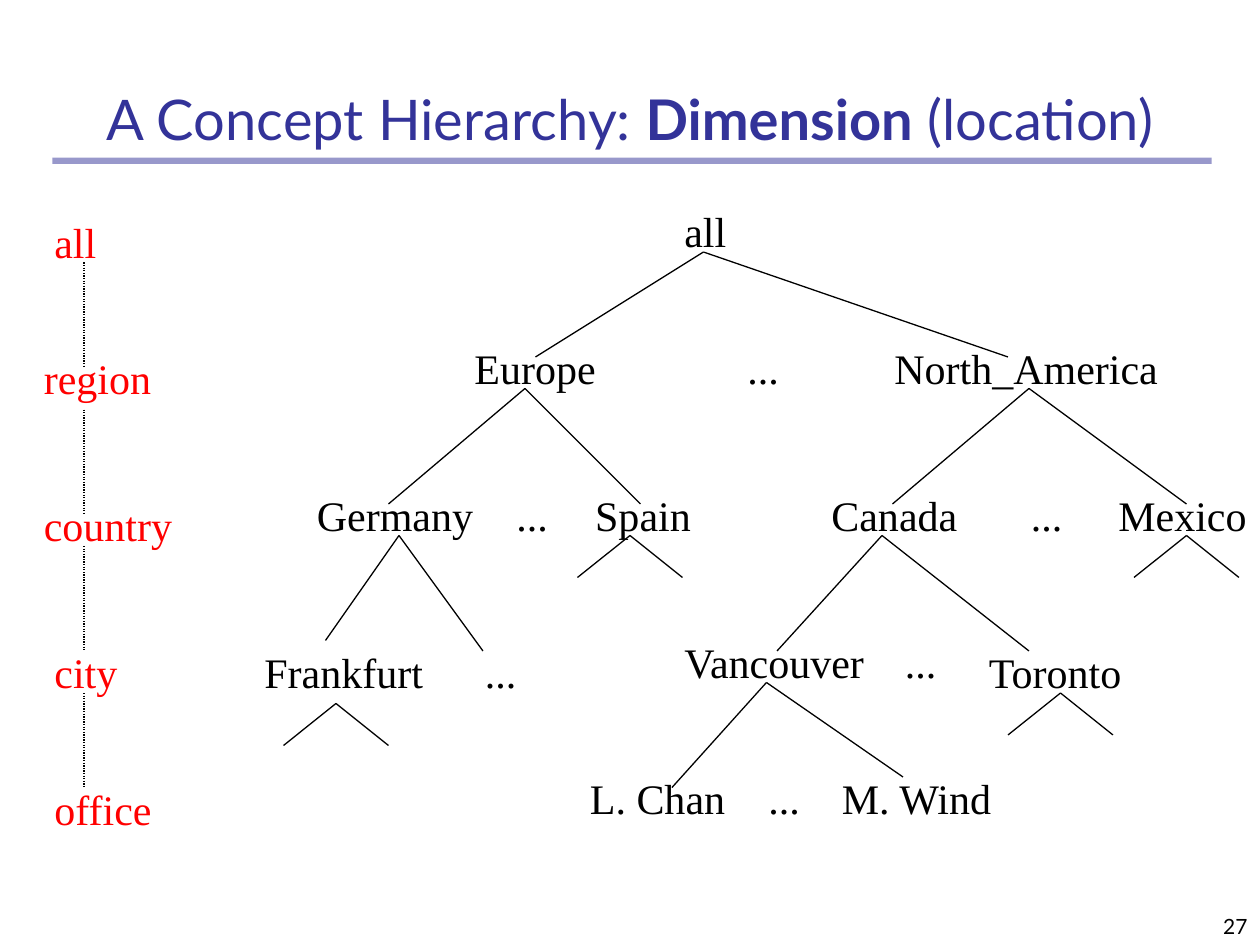
from lxml.etree import SubElement
from pptx import Presentation
from pptx.dml.color import RGBColor
from pptx.enum.dml import MSO_LINE
from pptx.enum.shapes import MSO_CONNECTOR, MSO_SHAPE
from pptx.enum.text import MSO_ANCHOR, MSO_AUTO_SIZE, PP_ALIGN
from pptx.oxml.ns import qn
from pptx.util import Pt

BLACK = RGBColor(0x00, 0x00, 0x00)
RED = RGBColor(0xFF, 0x00, 0x00)
INDIGO = RGBColor(0x33, 0x33, 0x99)
HEADING_FONT = "Lato"
TREE_FONT = "Times New Roman"
LABEL_HEIGHT = 36
LEVEL_AXIS = 48

LEVELS = [
    ("all", 24, 120, 39),
    ("region", 18, 198, 76),
    ("country", 18, 282, 89),
    ("city", 24, 366, 51),
    ("office", 24, 444, 71),
]
LEVEL_LINKS = [(150, 210), (234, 294), (312, 372), (396, 450)]

NODES = [
    ("all", 384, 114, 39),
    ("Europe", 264, 192, 84),
    ("North_America", 504, 192, 166),
    ("Germany", 174, 276, 104),
    ("Spain", 333, 276, 70),
    ("Canada", 468, 276, 87),
    ("Mexico", 632, 276, 88),
    ("Frankfurt", 144, 366, 106),
    ("Vancouver", 384, 360, 120),
    ("Toronto", 558, 366, 92.5),
    ("L. Chan", 330, 438, 92.5),
    ("M. Wind", 474, 438, 102),
]
ELLIPSES = [(420, 192), (288, 276), (582, 276), (270, 366), (510, 360), (432, 438)]

BRANCHES = [
    ((402, 144), (306, 204), (576, 204)),
    ((300, 222), (222, 288), (366, 288)),
    ((588, 222), (510, 288), (678, 288)),
    ((228, 306), (186, 366), (276, 372)),
    ((504, 306), (444, 372), (588, 372)),
    ((438, 390), (384, 450), (516, 444)),
]
STUBS = [(360, 306), (678, 306), (192, 402), (606, 396)]


def add_text(slide, runs, left, top, width, height, *, font, size, color,
             align=PP_ALIGN.LEFT, anchor=MSO_ANCHOR.TOP, wrap=True):
    box = slide.shapes.add_textbox(Pt(left), Pt(top), Pt(width), Pt(height))
    frame = box.text_frame
    frame.word_wrap = wrap
    frame.auto_size = MSO_AUTO_SIZE.NONE if wrap else MSO_AUTO_SIZE.SHAPE_TO_FIT_TEXT
    frame.vertical_anchor = anchor
    paragraph = frame.paragraphs[0]
    paragraph.alignment = align
    for text, bold in runs:
        run = paragraph.add_run()
        run.text = text
        run.font.name = font
        run.font.size = Pt(size)
        run.font.bold = bold
        run.font.color.rgb = color


def add_label(slide, text, left, top, width, color=BLACK):
    add_text(slide, [(text, False)], left, top, width, LABEL_HEIGHT,
             font=TREE_FONT, size=24, color=color, wrap=False)


def add_link(slide, start, end, dash=None):
    link = slide.shapes.add_connector(
        MSO_CONNECTOR.STRAIGHT, *(Pt(value) for value in (*start, *end)))
    link.line.color.rgb = BLACK
    link.line.width = Pt(0.75)
    if dash is not None:
        link.line.dash_style = dash
    SubElement(link._element.spPr, qn("a:effectLst"))


def add_fork(slide, apex, *ends):
    for end in ends:
        add_link(slide, apex, end)


def add_title_rule(slide):
    rule = slide.shapes.add_shape(MSO_SHAPE.RECTANGLE, Pt(30), Pt(90), Pt(662.4), Pt(3.6))
    rule.shadow.inherit = False
    rule.line.fill.background()
    rule.fill.solid()
    rule.fill.fore_color.rgb = INDIGO
    tint = rule._element.spPr.find(".//" + qn("a:srgbClr"))
    SubElement(tint, qn("a:alpha"), val="50000")


def main():
    """Build the location concept hierarchy slide."""
    deck = Presentation()
    deck.slide_width, deck.slide_height = Pt(720), Pt(540)
    slide = deck.slides.add_slide(deck.slide_layouts[6])

    add_title_rule(slide)
    add_text(slide, [("27", False)], 570, 504, 150, 36, font=HEADING_FONT, size=12,
             color=BLACK, align=PP_ALIGN.RIGHT, anchor=MSO_ANCHOR.BOTTOM)
    add_text(slide, [("A Concept Hierarchy: ", False), ("Dimension", True), (" (location)", False)],
             25, 42, 670, 48, font=HEADING_FONT, size=32, color=INDIGO,
             align=PP_ALIGN.CENTER, anchor=MSO_ANCHOR.BOTTOM)

    for node in NODES:
        add_label(slide, *node)
    for left, top in ELLIPSES:
        add_label(slide, "...", left, top, 33)
    for branch in BRANCHES:
        add_fork(slide, *branch)
    for x, y in STUBS:
        add_fork(slide, (x, y), (x - 30, y + 24), (x + 30, y + 24))

    for level in LEVELS:
        add_label(slide, *level, color=RED)
    for top, bottom in LEVEL_LINKS:
        add_link(slide, (LEVEL_AXIS, top), (LEVEL_AXIS, bottom), dash=MSO_LINE.ROUND_DOT)

    deck.save("out.pptx")


if __name__ == "__main__":
    main()
